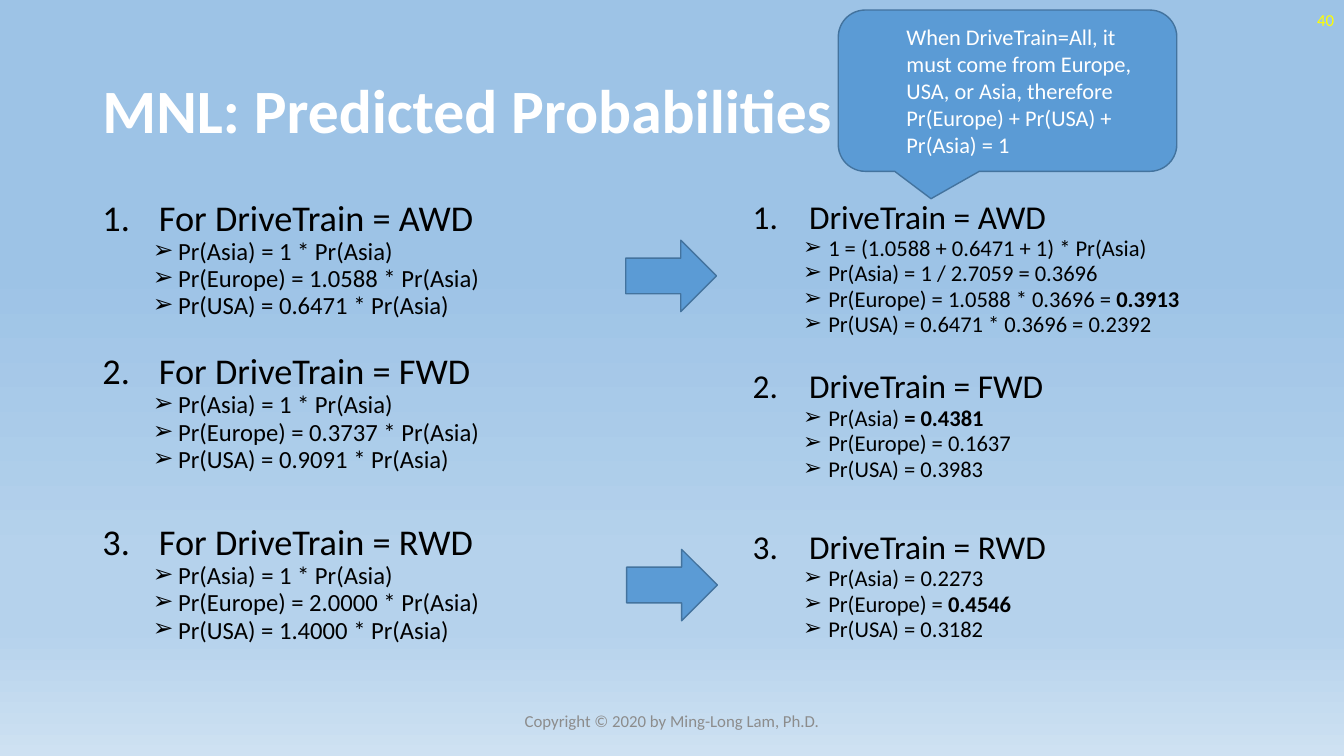
import lxml.etree
import pptx
import pptx.dml.color
import pptx.enum.shapes
import pptx.enum.text
import pptx.oxml.ns
import pptx.util

Pt = pptx.util.Pt
qn = pptx.oxml.ns.qn
align = pptx.enum.text.PP_ALIGN
middle = pptx.enum.text.MSO_ANCHOR.MIDDLE
kinds = pptx.enum.shapes.MSO_SHAPE

deck = pptx.Presentation()
deck.slide_width = pptx.util.Inches(13.33)
deck.slide_height = pptx.util.Inches(7.5)
slide = deck.slides.add_slide(deck.slide_layouts[3])


def grid(*cells):
    """Lengths on a grid of 160 columns and 90 rows."""
    units = (deck.slide_width / 160, deck.slide_height / 90) * 2
    return [round(cell * unit) for cell, unit in zip(cells, units)]


def write(para, text, size, color, bold=False):
    run = para.add_run()
    run.text = text
    run.font.name = "Calibri"
    run.font.size = Pt(size)
    run.font.bold = bold
    run.font.color.rgb = pptx.dml.color.RGBColor.from_string(color)


# Background gradient, from top to bottom
back = slide.background.fill
back.gradient()
back.gradient_angle = 270
stops = slide.element.find(".//" + qn("a:gsLst"))
for stop in list(stops):
    stops.remove(stop)
for share, color in ((35, "9DC3E6"), (74, "B5D2EC"), (83, "B5D2EC"), (100, "CEE1F2")):
    stop = lxml.etree.SubElement(stops, qn("a:gs"), pos=str(share * 1000))
    lxml.etree.SubElement(stop, qn("a:srgbClr"), val=color)

# Title
title = slide.shapes.title
title.left, title.top, title.width, title.height = grid(11, 4.8, 138, 17.4)
title.text_frame.vertical_anchor = middle
para = title.text_frame.paragraphs[0]
para.alignment = align.LEFT
para.line_spacing = 0.9
write(para, "MNL: Predicted Probabilities", 44, "FFFFFF", True)

# Numbered lists: a bar in a text starts its bold part
odds = [
    ("For DriveTrain = " + drive,
     ["Pr(Asia) = 1 * Pr(Asia)",
      f"Pr(Europe) = {europe} * Pr(Asia)",
      f"Pr(USA) = {usa} * Pr(Asia)"])
    for drive, europe, usa in (("AWD", "1.0588", "0.6471"),
                               ("FWD", "0.3737", "0.9091"),
                               ("RWD", "2.0000", "1.4000"))
]
probs = [
    ("DriveTrain = AWD",
     ["1 = (1.0588 + 0.6471 + 1) * Pr(Asia)",
      "Pr(Asia) = 1 / 2.7059 = 0.3696",
      "Pr(Europe) = 1.0588 * 0.3696 = |0.3913",
      "Pr(USA) = 0.6471 * 0.3696 = 0.2392"]),
    ("DriveTrain = FWD",
     ["Pr(Asia) |= 0.4381", "Pr(Europe) = 0.1637", "Pr(USA) = 0.3983"]),
    ("DriveTrain = RWD",
     ["Pr(Asia) = 0.2273", "Pr(Europe) = |0.4546", "Pr(USA) = 0.3182"]),
]
lists = (
    (1, 11, odds, 25.9, 17.6, (0, 29.5, 41.5)),
    (2, 88.4, probs, 23.8, 16.1, (0, 28.5, 40)),
)
for index, left, groups, big, small, gaps in lists:
    body = slide.placeholders[index]
    body.left, body.top, body.width, body.height = grid(left, 24, 59.5, 57.1)
    frame = body.text_frame
    frame.auto_size = pptx.enum.text.MSO_AUTO_SIZE.NONE
    para = frame.paragraphs[0]
    for (head, items), gap in zip(groups, gaps):
        for row, text in enumerate([head] + items):
            if gap or row:
                para = frame.add_paragraph()
            props = para._p.get_or_add_pPr()
            indent, hang = (0.75, 0.25) if row else (0.56, 0.56)
            props.set("marL", str(pptx.util.Inches(indent)))
            props.set("indent", str(-pptx.util.Inches(hang)))
            if row:
                lxml.etree.SubElement(props, qn("a:buChar"), char="➢")
            else:
                lxml.etree.SubElement(props, qn("a:buFont"), typeface="+mj-lt")
                lxml.etree.SubElement(props, qn("a:buAutoNum"), type="arabicPeriod")
            para.level = 1 if row else 0
            para.line_spacing = 0.7
            para.space_before = Pt(4.7 if row else gap)
            plain, _, strong = text.partition("|")
            write(para, plain, small if row else big, "000000")
            if strong:
                write(para, strong, small, "000000", True)

# Callout and arrows
shapes = []
for kind, place in (
    (kinds.ROUNDED_RECTANGULAR_CALLOUT, (99.8, 1.2, 40.3, 19.2)),
    (kinds.RIGHT_ARROW, (74.5, 28.6, 10.8, 8.5)),
    (kinds.RIGHT_ARROW, (74.6, 65.4, 10.8, 8.5)),
):
    shape = slide.shapes.add_shape(kind, *grid(*place))
    shape.shadow.inherit = False
    shape.fill.solid()
    shape.fill.fore_color.rgb = pptx.dml.color.RGBColor.from_string("5B9BD5")
    shape.line.color.rgb = pptx.dml.color.RGBColor.from_string("43739E")
    shape.line.width = Pt(1)
    shapes.append(shape)

note = shapes[0]
for spot, value in enumerate((-0.226, 0.67, 0.167)):
    note.adjustments[spot] = value
note.text_frame.word_wrap = True
note.text_frame.vertical_anchor = middle
para = note.text_frame.paragraphs[0]
para.level = 1
para.alignment = align.LEFT
para._p.get_or_add_pPr().set("marL", str(pptx.util.Inches(0.5)))
write(para, "When DriveTrain=All, it must come from Europe, USA, or Asia, "
      "therefore Pr(Europe) + Pr(USA) + Pr(Asia) = 1", 16, "FFFFFF")

# Page number and copyright line
for text, place, side, color in (
    ("40", (124, 0, 36, 4.8), align.RIGHT, "FFFF00"),
    ("Copyright © 2020 by Ming-Long Lam, Ph.D.", (53, 83.4, 54, 4.8), align.CENTER, "8C8C8C"),
):
    frame = slide.shapes.add_textbox(*grid(*place)).text_frame
    frame.word_wrap = True
    frame.vertical_anchor = middle
    frame.paragraphs[0].alignment = side
    write(frame.paragraphs[0], text, 12, color)

deck.save("out.pptx")
